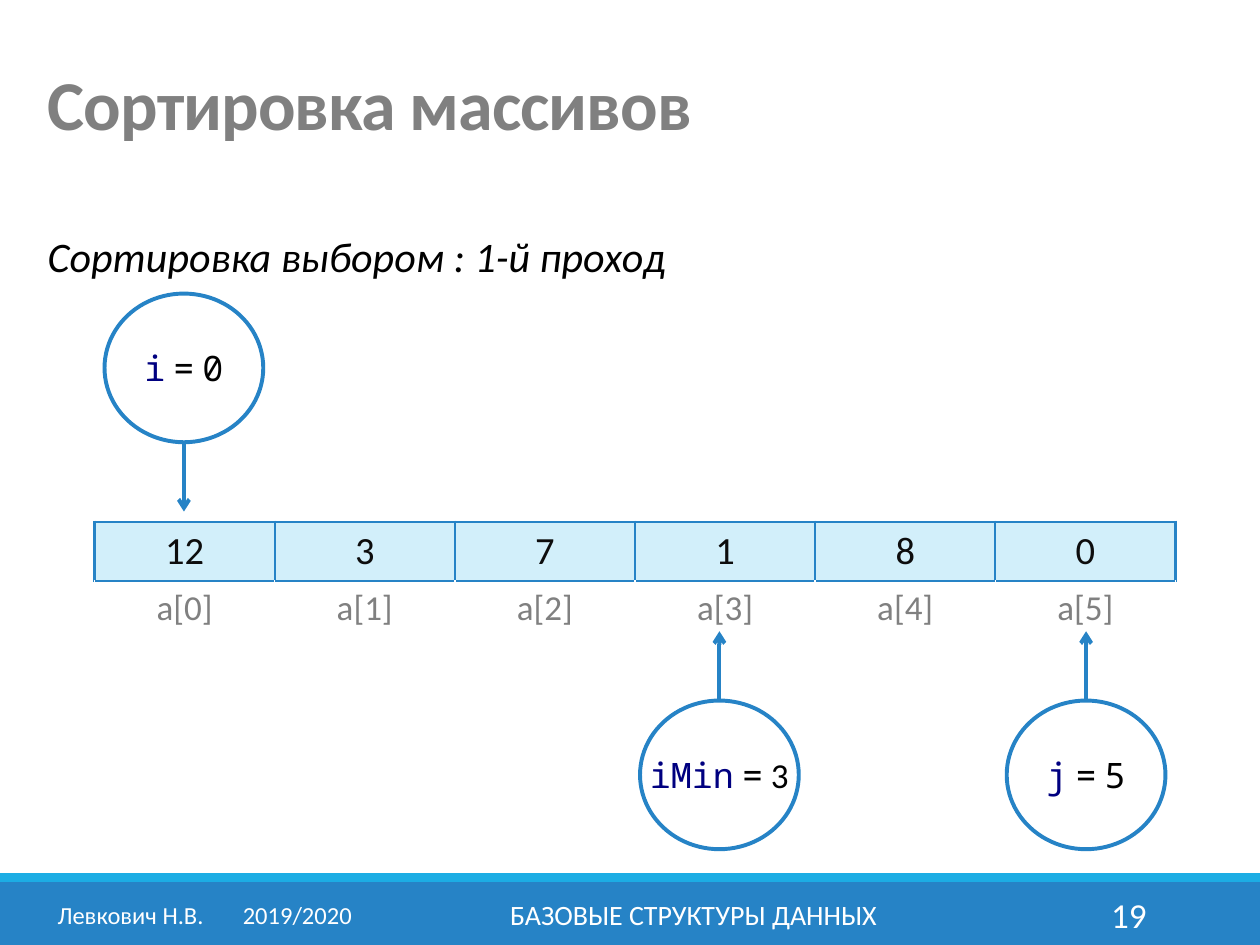
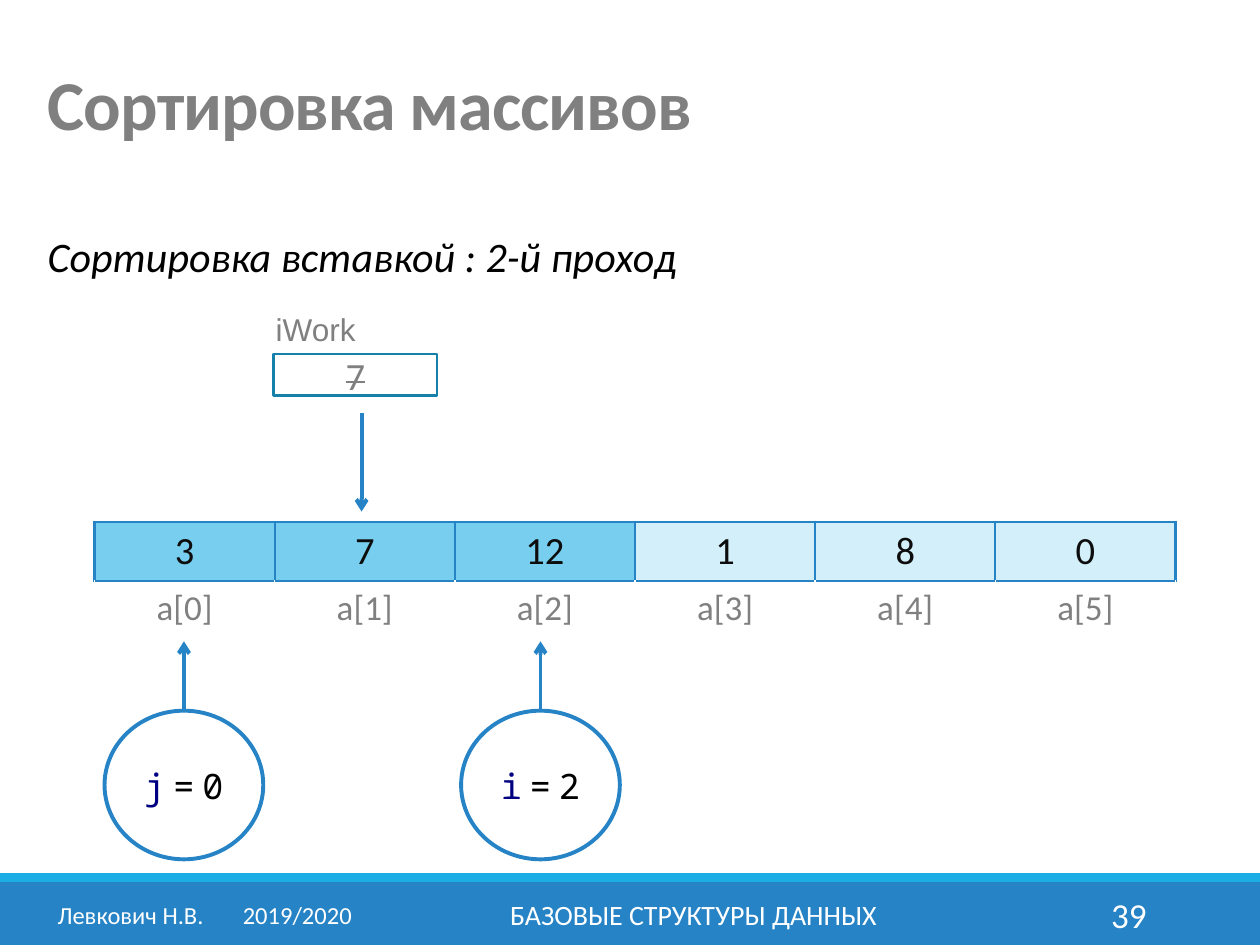
from lxml import etree
from pptx import Presentation
from pptx.dml.color import RGBColor
from pptx.enum import shapes, text
from pptx.oxml import ns
from pptx.util import Inches, Pt

HUES = {
    "blue": "2683C6", "sky": "1CADE4", "teal": "1580A9", "white": "FFFFFF",
    "black": "000000", "ink": "0D0D0D", "gray": "808080", "navy": "000080",
    "pale": "D2EFFA", "done": "77CEEF",
}
SANS, MONO = "Calibri", "Noto Sans Mono"
LEFT, MID, RIGHT = text.PP_ALIGN.LEFT, text.PP_ALIGN.CENTER, text.PP_ALIGN.RIGHT
COL, ROWS = 1.43, (0.47, 0.43)
RING = (1.26, 1.18)
STEM = 0.55


def hue(name):
    return RGBColor.from_string(HUES[name])


def sub(parent, tag, **attrs):
    return etree.SubElement(parent, ns.qn(tag), **attrs)


def style(font, size, color, face=SANS):
    font.size, font.name = Pt(size), face
    font.color.rgb = hue(color)


def write(frame, words, size, color, align=LEFT, face=SANS, tab=None):
    """Fill the frame with one paragraph and return that paragraph."""
    frame.word_wrap = True
    frame.auto_size = text.MSO_AUTO_SIZE.NONE
    frame.vertical_anchor = text.MSO_ANCHOR.MIDDLE
    para = frame.paragraphs[0]
    para.add_run().text = words
    para.alignment = align
    if tab:
        tabs = sub(para._p.get_or_add_pPr(), "a:tabLst")
        sub(tabs, "a:tab", pos=str(Inches(tab)), algn="l")
    style(para.font, size, color, face)
    return para


def label(slide, box, *args, **opts):
    frame = slide.shapes.add_textbox(*map(Inches, box)).text_frame
    return write(frame, *args, **opts)


def block(slide, kind, box, fill=None, line=None, width=1.5):
    shape = slide.shapes.add_shape(kind, *map(Inches, box))
    shape.shadow.inherit = False
    if fill:
        shape.fill.solid()
        shape.fill.fore_color.rgb = hue(fill)
    else:
        shape.fill.background()
    if line:
        shape.line.color.rgb = hue(line)
        shape.line.width = Pt(width)
    else:
        shape.line.fill.background()
    return shape


def arrow(slide, x, start, end):
    line = slide.shapes.add_connector(
        shapes.MSO_CONNECTOR.STRAIGHT, *map(Inches, (x, start, x, end)))
    line.line.color.rgb = hue("blue")
    line.line.width = Pt(2.25)
    sub(line.line._get_or_add_ln(), "a:tailEnd", type="arrow")
    sub(line._element.spPr, "a:effectLst")
    return line


def mark(slide, x, top, name, value, up=True, last=MONO):
    """Draw a ring naming an index, with an arrow towards the array."""
    wide, high = RING
    ring = block(slide, shapes.MSO_SHAPE.OVAL, (x - wide / 2, top, wide, high),
                 line="blue", width=2.25)
    frame = ring.text_frame
    frame.word_wrap = False
    frame.vertical_anchor = text.MSO_ANCHOR.MIDDLE
    para = frame.paragraphs[0]
    para.alignment = MID
    parts = ((name, "navy", MONO), (" ", "black", SANS), ("=", "black", MONO),
             (" ", "black", SANS), (value, "black", last))
    for words, color, face in parts:
        run = para.add_run()
        run.text = words
        style(run.font, 20, color, face)
    if up:
        arrow(slide, x, top, top - STEM).begin_connect(ring, 0)
    else:
        arrow(slide, x, top + high, top + high + STEM)


def edge(cell, **sides):
    """Set cell borders; each side gives a colour and a width in points."""
    props = cell._tc.get_or_add_tcPr()
    for side in "LRTB":
        color, width = sides[side]
        line = sub(props, f"a:ln{side}", w=str(Pt(width)))
        sub(sub(line, "a:solidFill"), "a:srgbClr", val=HUES[color])


def paint(cell, words, size, color, fill):
    cell.fill.solid()
    cell.fill.fore_color.rgb = hue(fill)
    para = cell.text_frame.paragraphs[0]
    para.add_run().text = words
    para.alignment = MID
    style(para.font, size, color)


def array(slide, values, done):
    """Draw the array; the first done cells are already sorted."""
    count = len(values)
    box = (0.75, 4.14, COL * count, sum(ROWS))
    grid = slide.shapes.add_table(2, count, *map(Inches, box)).table
    grid.first_row = grid.horz_banding = False
    for row, high in zip(grid.rows, ROWS):
        row.height = Inches(high)
    rule, bare = ("blue", 1.5), ("white", 1)
    for i, value in enumerate(values):
        grid.columns[i].width = Inches(COL)
        item, index = grid.cell(0, i), grid.cell(1, i)
        edge(item, L=rule, R=rule, T=rule, B=rule)
        paint(item, str(value), 22, "ink", "done" if i < done else "pale")
        edge(index, L=bare, R=bare, T=rule, B=bare)
        paint(index, f"a[{i}]", 20, "gray", "white")
        index.vertical_anchor = text.MSO_ANCHOR.MIDDLE


def head(slide):
    title = slide.shapes.title
    title.left, title.top, title.width, title.height = map(
        Inches, (0.28, 0.29, 9.45, 1.15))
    para = write(title.text_frame, "Сортировка массивов", 40, "gray")
    para.font.bold = True
    para.line_spacing = 0.85
    para.runs[0]._r.get_or_add_rPr().set("spc", "-50")


def foot(slide, number):
    rect = shapes.MSO_SHAPE.RECTANGLE
    block(slide, rect, (0, 7, 10, 0.5), "blue")
    block(slide, rect, (0, 6.93, 10, 0.07), "sky")
    top, high = 7.06, 0.4
    label(slide, (0.32, top, 2.61, high), "Левкович Н.В.\t2019/2020",
          14, "white", MID, tab=1.47)
    label(slide, (3.02, top, 4.97, high), "БАЗОВЫЕ СТРУКТУРЫ ДАННЫХ",
          16, "white", MID)
    label(slide, (8.12, top, 1.08, high), str(number), 20, "white", RIGHT)


def page(deck, number, topic, values, done=0):
    slide = deck.slides.add_slide(deck.slide_layouts[5])
    head(slide)
    foot(slide, number)
    label(slide, (0.28, 1.78, 9.21, 0.5), topic, 24, "black").font.italic = True
    array(slide, values, done)
    return slide


def store(slide):
    """Draw the work variable with its struck-out value."""
    label(slide, (2.09, 2.41, 0.87, 0.4), "iWork", 18, "gray", face="Arial")
    box = block(slide, shapes.MSO_SHAPE.RECTANGLE, (2.17, 2.81, 1.3, 0.33),
                line="teal")
    para = write(box.text_frame, "7", 22, "gray", MID)
    para.runs[0]._r.get_or_add_rPr().set("strike", "sngStrike")
    arrow(slide, 2.87, 3.28, 4.06)


def main():
    deck = Presentation()
    deck.slide_width, deck.slide_height = Inches(10), Inches(7.5)

    pick = page(deck, 19, "Сортировка выбором : 1-й проход",
                (12, 3, 7, 1, 8, 0))
    mark(pick, 1.46, 2.33, "i", "0", up=False)
    mark(pick, 5.71, 5.56, "iMin", "3", last=SANS)
    mark(pick, 8.62, 5.56, "j", "5")

    shift = page(deck, 39, "Сортировка вставкой : 2-й проход",
                 (3, 7, 12, 1, 8, 0), done=3)
    store(shift)
    mark(shift, 1.46, 5.64, "j", "0")
    mark(shift, 4.29, 5.64, "i", "2")

    deck.save("out.pptx")


if __name__ == "__main__":
    main()
